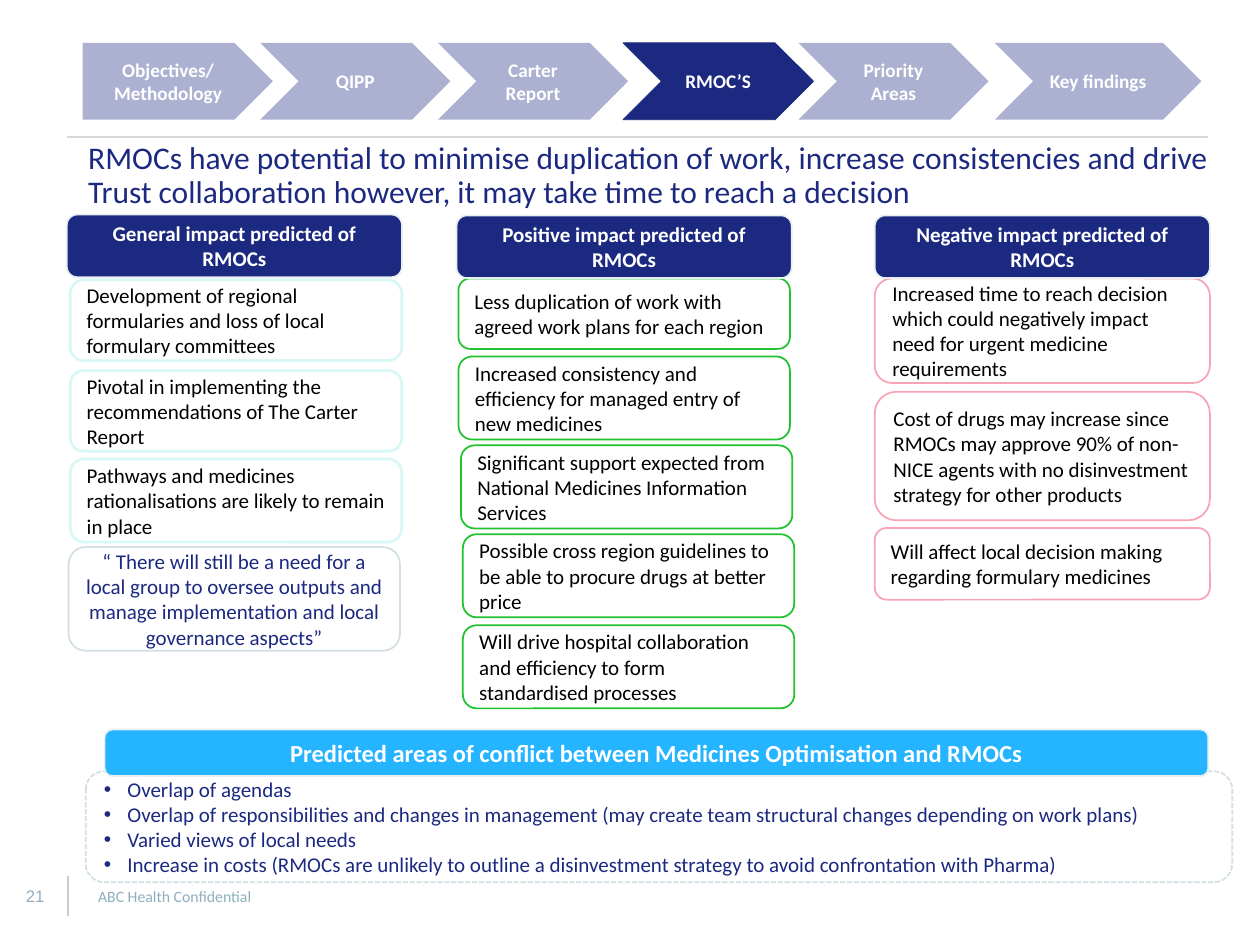
from dataclasses import dataclass

from lxml.etree import SubElement
from pptx import Presentation
from pptx.dml.color import RGBColor
from pptx.enum.dml import MSO_LINE
from pptx.enum.shapes import MSO_CONNECTOR, MSO_SHAPE
from pptx.enum.text import MSO_ANCHOR, MSO_AUTO_SIZE, PP_ALIGN
from pptx.oxml.ns import qn
from pptx.util import Pt


@dataclass(frozen=True)
class Theme:
    """Hold the colours, fonts and type sizes of the slide."""
    navy: str = "1C2980"
    sky: str = "25B4FF"
    mint: str = "D7F8F6"
    green: str = "20C22F"
    pink: str = "F8A4B6"
    mist: str = "D2DFE5"
    pale: str = "E8EFF2"
    rule: str = "D9DAD5"
    divider: str = "CACCC5"
    footer: str = "8EAFBF"
    white: str = "FFFFFF"
    black: str = "000000"
    font: str = "Calibri"
    number_font: str = "Arial"
    title: float = 18
    banner: float = 14
    body: float = 12
    step: float = 11
    number: float = 9.5
    small: float = 9


@dataclass(frozen=True)
class Box:
    """Describe a rectangle in points."""
    left: float
    top: float
    width: float
    height: float

    def inside(self, left, top, width, height):
        """Return a box placed relative to this one."""
        return Box(self.left + left, self.top + top, width, height)

    def lengths(self):
        """Return the four lengths as Pt values."""
        return [Pt(value) for value in (self.left, self.top, self.width, self.height)]


THEME = Theme()
HEADER_HEIGHT = 35.8
NO_MARGINS = dict.fromkeys(("margin_left", "margin_top", "margin_right", "margin_bottom"), 0)
STEPS = [
    ("Objectives/\nMethodology", 0, 108.7),
    ("QIPP", 101.5, 108.7),
    ("Carter Report", 203, 108.7),
    ("RMOC’S", 308.9, 108.7),
    ("Priority\nAreas", 409, 108.7),
    ("Key findings", 521.3, 118.1),
]
GENERAL = [
    ("Development of regional formularies and loss of local formulary committees", 2, 37.4, 46.1),
    ("Pivotal in implementing the recommendations of The Carter Report", 2, 89.2, 46.1),
    ("Pathways and medicines rationalisations are likely to remain in place", 2, 139.7, 47.5),
]
QUOTE = ("“ There will still be a need for a local group to oversee outputs and manage "
         "implementation and local governance aspects”", 1, 190, 59.3)
POSITIVE = [
    ("Less duplication of work with agreed work plans for each region", 1.1, 36, 40.3),
    ("Increased consistency and efficiency for managed entry of new medicines", 1.1, 80.6, 47.5),
    ("Significant support expected from National Medicines Information Services", 2.5, 131.4, 47.5),
    ("Possible cross region guidelines to be able to procure drugs at better price", 3.6, 182.2, 47.5),
    ("Will drive hospital collaboration and efficiency to form standardised processes", 3.6, 234.2, 47.5),
]
NEGATIVE = [
    ("Increased time to reach decision which could negatively impact need for urgent medicine "
     "requirements", 0, 36, 59.8),
    ("Cost of drugs may increase since RMOCs may approve 90% of non-NICE agents with no "
     "disinvestment strategy for other products", 0, 100.8, 73.4),
    ("Will affect local decision making regarding formulary medicines", 0, 178.6, 41),
]
CONFLICTS = [
    "Overlap of agendas",
    "Overlap of responsibilities and changes in management (may create team structural changes "
    "depending on work plans)",
    "Varied views of local needs",
    "Increase in costs (RMOCs are unlikely to outline a disinvestment strategy to avoid "
    "confrontation with Pharma)",
]


def apply_format(target, values):
    """Set each named attribute on the target."""
    for name, value in values.items():
        setattr(target, name, value)


def write(shape, text, size, color, align=PP_ALIGN.LEFT, bold=False, font=THEME.font, frame=None):
    """Write formatted text into a shape."""
    text_frame = shape.text_frame
    apply_format(text_frame, {"word_wrap": True, "auto_size": MSO_AUTO_SIZE.NONE,
                              "vertical_anchor": MSO_ANCHOR.MIDDLE, **(frame or {})})
    text_frame.text = text
    for paragraph in text_frame.paragraphs:
        apply_format(paragraph, {"alignment": align, "space_before": Pt(0)})
        for run in paragraph.runs:
            apply_format(run.font, {"name": font, "size": Pt(size), "bold": bold})
            run.font.color.rgb = RGBColor.from_string(color)


def add_block(slide, box, kind=MSO_SHAPE.ROUNDED_RECTANGLE, fill=None, line=None, weight=1):
    """Add a flat preset shape."""
    shape = slide.shapes.add_shape(kind, *box.lengths())
    shape.shadow.inherit = False
    if fill:
        shape.fill.solid()
        shape.fill.fore_color.rgb = RGBColor.from_string(fill)
    else:
        shape.fill.background()
    if line:
        shape.line.color.rgb = RGBColor.from_string(line)
        shape.line.width = Pt(weight)
    else:
        shape.line.fill.background()
    return shape


def add_rule(slide, box, color, weight):
    """Add a straight line along the given box."""
    ends = [Pt(value) for value in (box.left, box.top, box.left + box.width, box.top + box.height)]
    connector = slide.shapes.add_connector(MSO_CONNECTOR.STRAIGHT, *ends)
    connector.line.color.rgb = RGBColor.from_string(color)
    connector.line.width = Pt(weight)
    SubElement(connector.element.spPr, qn("a:effectLst"))


def add_steps(slide, box, active):
    """Draw the navigation chevrons with one active step."""
    for index, (text, offset, width) in enumerate(STEPS):
        kind = MSO_SHAPE.CHEVRON if index else MSO_SHAPE.PENTAGON
        line = THEME.navy if index == active else None
        shape = add_block(slide, box.inside(offset, 0, width, box.height), kind, THEME.navy, line, 0.5)
        if index != active:
            color = shape.element.spPr.find(f"{qn('a:solidFill')}/{qn('a:srgbClr')}")
            SubElement(color, qn("a:alpha"), val="36000")
        write(shape, text, THEME.step, THEME.white, PP_ALIGN.CENTER, True)


def add_title(slide, box):
    """Place the headline in the title placeholder."""
    title = slide.shapes.title
    apply_format(title, dict(zip(("left", "top", "width", "height"), box.lengths())))
    write(title, "RMOCs have potential to minimise duplication of work, increase consistencies and "
          "drive Trust collaboration however, it may take time to reach a decision",
          THEME.title, THEME.navy, frame={**NO_MARGINS, "vertical_anchor": MSO_ANCHOR.BOTTOM})
    title.text_frame.paragraphs[0].line_spacing = 0.9


def add_card(slide, box, card, width, line, weight=1, color=THEME.black, align=PP_ALIGN.LEFT):
    """Add one outlined statement to a column."""
    text, left, top, height = card
    shape = add_block(slide, box.inside(left, top, width, height), line=line, weight=weight)
    write(shape, text, THEME.body, color, align)


def add_column(slide, box, heading, cards, card_width, line, weight=1):
    """Draw a column of statements under its heading."""
    for card in cards:
        add_card(slide, box, card, card_width, line, weight)
    header = add_block(slide, box.inside(0, 0, box.width, HEADER_HEIGHT), fill=THEME.navy, line=THEME.pale)
    write(header, heading, THEME.body, THEME.white, PP_ALIGN.CENTER, True)


def add_conflicts(slide, box):
    """Draw the banner and the bulleted list in its dashed frame."""
    frame = box.inside(0, 23.8, box.width, 63.4)
    add_block(slide, frame, line=THEME.mist).line.dash_style = MSO_LINE.SQUARE_DOT
    body = slide.placeholders[1]
    area = frame.inside(10.3, 0, frame.width - 20.6, frame.height)
    apply_format(body, dict(zip(("left", "top", "width", "height"), area.lengths())))
    write(body, "\n".join(CONFLICTS), THEME.body, THEME.navy, frame=NO_MARGINS)
    for paragraph in body.text_frame.paragraphs:
        properties = paragraph._p.get_or_add_pPr()
        properties.set("marL", str(Pt(13.5)))
        properties.set("indent", str(Pt(-13.5)))
        SubElement(properties, qn("a:buFont"), typeface=THEME.number_font)
        SubElement(properties, qn("a:buChar"), char="•")
    banner = add_block(slide, box.inside(10.8, 0, 630.7, 26.6), fill=THEME.sky, line=THEME.pale)
    write(banner, "Predicted areas of conflict between Medicines Optimisation and RMOCs",
          THEME.banner, THEME.white, PP_ALIGN.CENTER, True)


def add_footer(slide, box):
    """Draw the slide number, divider and confidentiality note."""
    number = slide.shapes.add_textbox(*box.inside(0, 8.6, 17.3, 11.5).lengths())
    write(number, "21", THEME.number, THEME.footer, PP_ALIGN.CENTER, font=THEME.number_font, frame=NO_MARGINS)
    add_rule(slide, box.inside(27.4, 2.9, 0, 23), THEME.divider, 0.75)
    note = slide.shapes.add_textbox(*box.inside(37.5, 0, 450.7, 28.8).lengths())
    write(note, "ABC Health Confidential", THEME.small, THEME.footer)


def main():
    """Build and save the slide."""
    presentation = Presentation()
    apply_format(presentation, {"slide_width": Pt(720), "slide_height": Pt(540)})
    slide = presentation.slides.add_slide(presentation.slide_layouts[1])
    add_rule(slide, Box(38.2, 78.5, 652.3, 0), THEME.rule, 1.25)
    add_title(slide, Box(50.4, 77, 652.3, 43.2))
    general = Box(38.2, 122.6, 191.5, 250)
    add_column(slide, general, "General impact predicted of RMOCs", GENERAL, 189.4, THEME.mint, 1.5)
    add_card(slide, general, QUOTE, 189.4, THEME.mist, color=THEME.navy, align=PP_ALIGN.CENTER)
    add_column(slide, Box(260.9, 123.1, 191.5, 282), "Positive impact predicted of RMOCs",
               POSITIVE, 189.4, THEME.green)
    add_column(slide, Box(499.9, 123.1, 191.5, 220), "Negative impact predicted of RMOCs",
               NEGATIVE, 191.5, THEME.pink)
    add_conflicts(slide, Box(49, 416.9, 655.2, 87.2))
    add_steps(slide, Box(47.2, 24.5, 639.4, 43.9), active=3)
    add_footer(slide, Box(11.5, 497.5, 488.2, 28.8))
    presentation.save("out.pptx")


if __name__ == "__main__":
    main()
